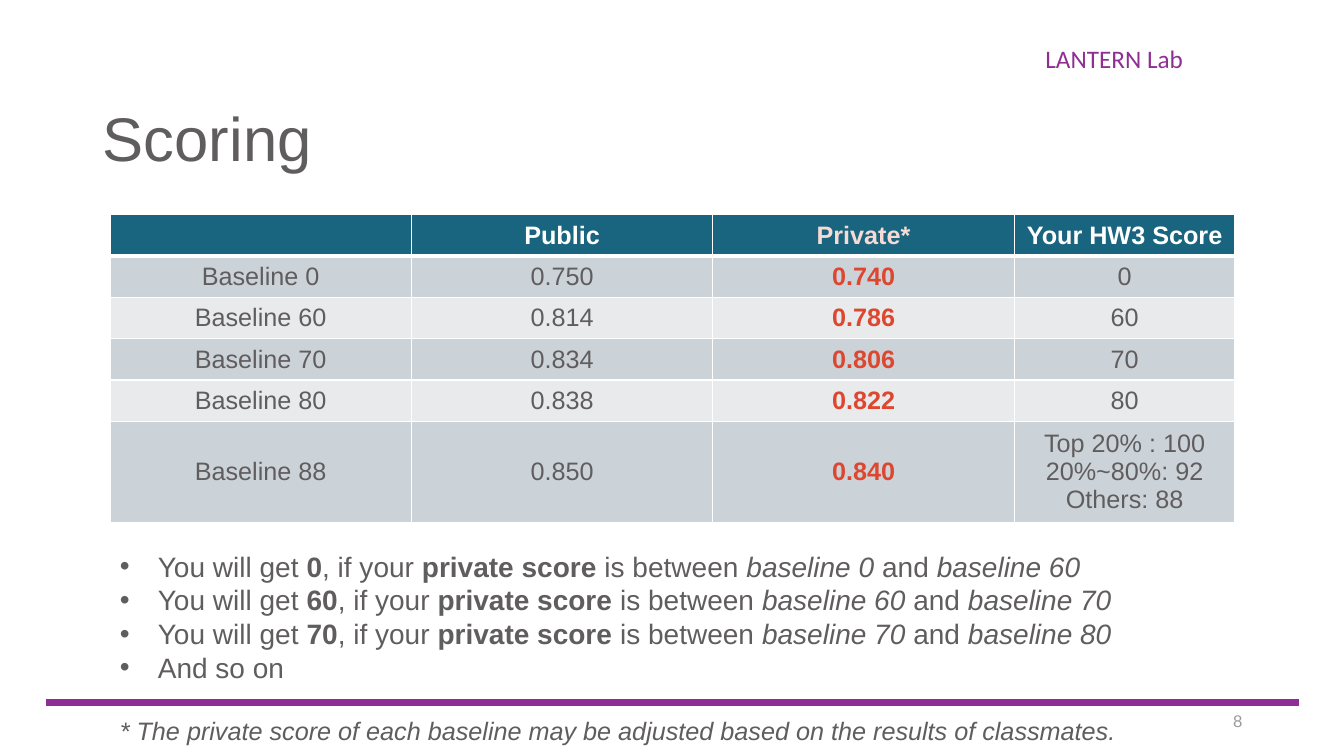
from pptx import Presentation, util as u
from pptx.dml.color import RGBColor
from pptx.enum import shapes, text
from pptx.oxml.ns import qn
from lxml import etree

LAB = "LANTERN Lab"
TITLE = "Scoring"
HEADER = ("", "Public", "Private*", "Your HW3 Score")
BASELINES = [
    ("Baseline 0", "0.750", "0.740", "0"),
    ("Baseline 60", "0.814", "0.786", "60"),
    ("Baseline 70", "0.834", "0.806", "70"),
    ("Baseline 80", "0.838", "0.822", "80"),
    ("Baseline 88", "0.850", "0.840", "Top 20% : 100\n20%~80%: 92\nOthers: 88"),
]
STEPS = (0, 60, 70, 80)
LAST_RULE = "And so on"
FOOTNOTE = ("* The private score of each baseline may be adjusted "
            "based on the results of classmates.")
PAGE = "8"

GREY, PURPLE, WHITE, RED = "605D5F", "8F2E93", "FFFFFF", "DD472F"
TEAL, PINK, PALE_GREY = "19647E", "F8DAD5", "9D9C9D"
BANDS = ("CCD3D8", "E8EAEC")
LEFT = 1.09
COLUMNS = (2.99, 2.99, 2.99, 2.19)
ROW, TALL_ROW = 0.41, 0.95


def colour(value):
    return RGBColor.from_string(value)


def add_run(paragraph, words, size, ink=GREY, bold=False, italic=False, face="Arial"):
    run = paragraph.add_run()
    run.text = words
    font = run.font
    font.name, font.size, font.bold, font.italic = face, u.Pt(size), bold, italic
    font.color.rgb = colour(ink)


def place(shape, left, top, width, height):
    shape.left, shape.top = u.Inches(left), u.Inches(top)
    shape.width, shape.height = u.Inches(width), u.Inches(height)


def add_label(slide, box, words, size, wrap=True, align=text.PP_ALIGN.LEFT,
              anchor=text.MSO_ANCHOR.TOP, **style):
    frame = slide.shapes.add_textbox(*map(u.Inches, box)).text_frame
    frame.word_wrap = wrap
    frame.vertical_anchor = anchor
    frame.paragraphs[0].alignment = align
    add_run(frame.paragraphs[0], words, size, **style)


def add_border(cell, side, width):
    edge = etree.SubElement(cell._tc.get_or_add_tcPr(), qn("a:ln" + side), w=str(u.Pt(width)))
    fill = etree.SubElement(edge, qn("a:solidFill"))
    etree.SubElement(fill, qn("a:srgbClr"), val=WHITE)


def fill_cell(cell, row, column, words):
    heading, private = row == 0, column == 2
    if heading:
        ink, background = (PINK if private else WHITE), TEAL
    else:
        ink, background = (RED if private else GREY), BANDS[(row - 1) % 2]
    heavy_side = {0: "B", 1: "T"}.get(row)
    for side in "LRTB":
        add_border(cell, side, 3 if side == heavy_side else 1)
    cell.fill.solid()
    cell.fill.fore_color.rgb = colour(background)
    cell.vertical_anchor = text.MSO_ANCHOR.MIDDLE
    frame = cell.text_frame
    for number, line in enumerate(words.split("\n")):
        paragraph = frame.add_paragraph() if number else frame.paragraphs[0]
        paragraph.alignment = text.PP_ALIGN.CENTER
        if line:
            add_run(paragraph, line, 18, ink, bold=heading or private)


def add_scores(slide):
    rows = [HEADER] + BASELINES
    heights = [ROW] * (len(rows) - 1) + [TALL_ROW]
    scores = slide.shapes.add_table(
        len(rows), len(COLUMNS), u.Inches(LEFT), u.Inches(2.13),
        u.Inches(sum(COLUMNS)), u.Inches(sum(heights))).table
    for column, width in zip(scores.columns, COLUMNS):
        column.width = u.Inches(width)
    for r, (height, entries) in enumerate(zip(heights, rows)):
        scores.rows[r].height = u.Inches(height)
        for c, words in enumerate(entries):
            fill_cell(scores.cell(r, c), r, c, words)


def add_rules(body):
    place(body, LEFT, 5.4, 10.93, 1.45)
    frame = body.text_frame
    frame.auto_size = text.MSO_AUTO_SIZE.NONE
    rules = [
        [("You will get ", {}), (str(low), {"bold": True}), (", if your ", {}),
         ("private score ", {"bold": True}), ("is between ", {}),
         (f"baseline {low}", {"italic": True}), (" and ", {}),
         (f"baseline {high}", {"italic": True})]
        for low, high in zip(STEPS, STEPS[1:])
    ] + [[(LAST_RULE, {})]]
    for number, rule in enumerate(rules):
        paragraph = frame.add_paragraph() if number else frame.paragraphs[0]
        paragraph.space_before = u.Pt(0)
        for words, style in rule:
            add_run(paragraph, words, 20, **style)


def add_title(title):
    place(title, 0.92, 0.68, 11.5, 1.45)
    title.text_frame.auto_size = text.MSO_AUTO_SIZE.NONE
    title.text_frame.vertical_anchor = text.MSO_ANCHOR.MIDDLE
    paragraph = title.text_frame.paragraphs[0]
    paragraph.alignment = text.PP_ALIGN.LEFT
    paragraph.line_spacing = 0.9
    add_run(paragraph, TITLE, 44)


def add_footer_line(slide):
    rule = slide.shapes.add_connector(
        shapes.MSO_CONNECTOR.STRAIGHT, *map(u.Inches, (0.46, 6.97, 12.88, 6.97)))
    rule.line.color.rgb = colour(PURPLE)
    rule.line.width = u.Pt(4.5)
    etree.SubElement(rule._element.spPr, qn("a:effectLst"))


def main():
    deck = Presentation()
    deck.slide_width, deck.slide_height = u.Inches(13.33), u.Inches(7.5)
    slide = deck.slides.add_slide(deck.slide_layouts[1])
    add_footer_line(slide)
    add_label(slide, (10.27, 0.38, 5.88, 0.4), LAB, 18, ink=PURPLE, face="Calibri")
    add_title(slide.shapes.title)
    add_scores(slide)
    add_label(slide, (9.42, 6.95, 3, 0.4), PAGE, 12, ink=PALE_GREY,
              align=text.PP_ALIGN.RIGHT, anchor=text.MSO_ANCHOR.MIDDLE)
    add_rules(slide.placeholders[1])
    add_label(slide, (LEFT, 7.05, 10.17, 0.4), FOOTNOTE, 18, wrap=False, italic=True)
    deck.save("out.pptx")


if __name__ == "__main__":
    main()
